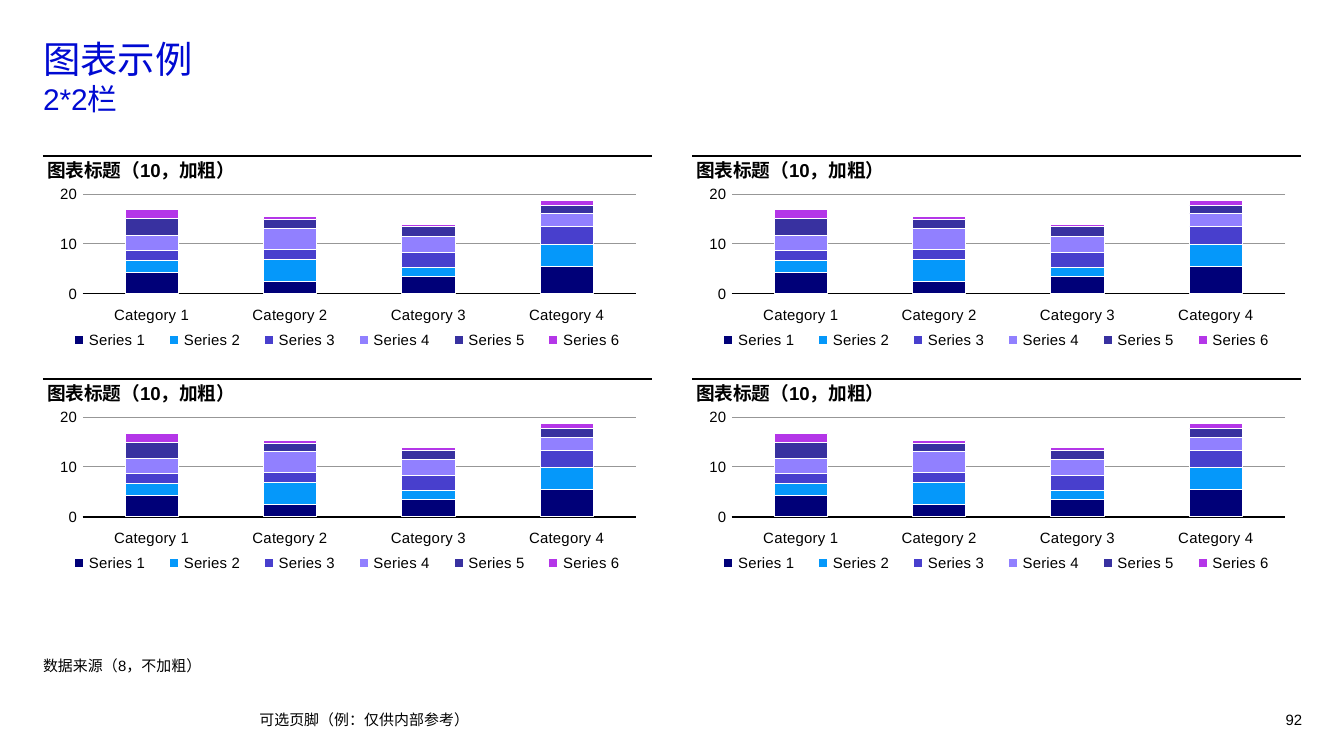
from lxml import etree
from pptx import Presentation
from pptx.chart.data import CategoryChartData
from pptx.dml.color import RGBColor
from pptx.enum.chart import (XL_CHART_TYPE, XL_LEGEND_POSITION, XL_TICK_LABEL_POSITION,
                             XL_TICK_MARK)
from pptx.enum.shapes import MSO_CONNECTOR
from pptx.enum.text import MSO_ANCHOR, MSO_AUTO_SIZE, PP_ALIGN
from pptx.oxml import parse_xml
from pptx.oxml.ns import nsdecls, qn
from pptx.util import Inches, Pt

STACKED = XL_CHART_TYPE.COLUMN_STACKED
BOTTOM_LEGEND = XL_LEGEND_POSITION.BOTTOM
LOW_LABELS = XL_TICK_LABEL_POSITION.LOW
NO_TICK = XL_TICK_MARK.NONE
STRAIGHT = MSO_CONNECTOR.STRAIGHT
TOP, MIDDLE, BOTTOM = MSO_ANCHOR.TOP, MSO_ANCHOR.MIDDLE, MSO_ANCHOR.BOTTOM
LEFT, RIGHT = PP_ALIGN.LEFT, PP_ALIGN.RIGHT
NO_FIT = MSO_AUTO_SIZE.NONE

COLORS = {"title": "000AD2", "text": "000000", "rule": "000000", "grid": "979797",
          "outline": "FFFFFF"}

# Grid in inches on a 16:9 slide: two columns by two rows of chart panels
SLIDE_WIDTH = 10
SLIDE_HEIGHT = SLIDE_WIDTH * 9 / 16
MARGIN, CONTENT_WIDTH = 0.32, 9.37
COLUMN_STEP, ROW_STEP = 4.83, 1.66
PANEL_TOP, PANEL_WIDTH, PANEL_HEIGHT = 1.16, 4.53, 1.49
FOOTER_TOP, FOOTER_HEIGHT = 5.28, 0.15

CATEGORIES = [f"Category {number}" for number in range(1, 5)]
SERIES = [  # colour, values
    ("000078", (4.3, 2.5, 3.5, 5.5)),
    ("0598FA", (2.4, 4.4, 1.8, 4.4)),
    ("483FCD", (2, 2, 3, 3.5)),
    ("9180FF", (3, 4.2, 3.2, 2.6)),
    ("3831A0", (3.3, 1.7, 1.9, 1.7)),
    ("B436E8", (1.8, 0.6, 0.5, 1)),
]
# Shares of the chart's size
PLOT_LAYOUT = {"x": 0.065, "y": 0.191, "w": 0.909, "h": 0.497}
LEGEND_LAYOUT = {"x": 0.02, "y": 0.87, "w": 0.96, "h": 0.13}


def color(name):
    return RGBColor.from_string(COLORS[name])


def set_attributes(target, values):
    for name, value in values.items():
        setattr(target, name, value)


def format_font(font, size, color_name="text", name="Arial", bold=False):
    set_attributes(font, {"size": Pt(size), "name": name, "bold": bold})
    font.color.rgb = color(color_name)


def format_line(line, color_name, width):
    line.color.rgb = color(color_name)
    line.width = Pt(width)


def place(shape, left, top, width, height):
    set_attributes(shape, {"left": Inches(left), "top": Inches(top),
                           "width": Inches(width), "height": Inches(height)})


def format_frame(frame, anchor, alignment=LEFT, spacing=1.0):
    set_attributes(frame, {"margin_left": 0, "margin_right": 0, "margin_top": 0,
                           "margin_bottom": 0, "word_wrap": True,
                           "auto_size": NO_FIT, "vertical_anchor": anchor})
    paragraph = frame.paragraphs[0]
    set_attributes(paragraph, {"alignment": alignment, "line_spacing": spacing,
                               "space_before": Pt(0)})
    return paragraph


def add_run(paragraph, text, size, **font_options):
    run = paragraph.add_run()
    run.text = text
    format_font(run.font, size, **font_options)


def add_label(slide, box, text, size, anchor=TOP, alignment=LEFT, bold=False):
    shape = slide.shapes.add_textbox(*map(Inches, box))
    add_run(format_frame(shape.text_frame, anchor, alignment), text, size, bold=bold)


def fill_title(title):
    place(title, MARGIN, 0.27, CONTENT_WIDTH, 0.72)
    paragraph = format_frame(title.text_frame, TOP)
    add_run(paragraph, "图表示例", 20, color_name="title", name="Noto Sans CJK SC")
    paragraph.add_line_break()
    add_run(paragraph, "2*2栏", 16, color_name="title")


def fill_source(body):
    place(body, MARGIN, 4.49, CONTENT_WIDTH, 0.53)
    paragraph = format_frame(body.text_frame, BOTTOM, spacing=1.1)
    properties = paragraph._p.get_or_add_pPr()
    properties.set("marL", "0")
    properties.set("indent", "0")
    etree.SubElement(properties, qn("a:buNone"))
    add_run(paragraph, "数据来源（8，不加粗）", 8)


def add_rule(slide, left, top, width):
    rule = slide.shapes.add_connector(STRAIGHT, Inches(left), Inches(top),
                                      Inches(left + width), Inches(top))
    format_line(rule.line, "rule", 0.75)
    etree.SubElement(rule._element.spPr, qn("a:effectLst"))


def set_layout(element, shares, position, target=""):
    for old_layout in element.findall(qn("c:layout")):
        element.remove(old_layout)
    sizes = "".join(f'<c:{key} val="{value}"/>' for key, value in shares.items())
    element.insert(position, parse_xml(
        f'<c:layout {nsdecls("c")}><c:manualLayout>{target}'
        f'<c:xMode val="edge"/><c:yMode val="edge"/>{sizes}</c:manualLayout></c:layout>'))


def format_axes(chart):
    category_axis, value_axis = chart.category_axis, chart.value_axis
    for axis in (category_axis, value_axis):
        set_attributes(axis, {"major_tick_mark": NO_TICK, "minor_tick_mark": NO_TICK})
        format_font(axis.tick_labels.font, 8)
    category_axis.tick_label_position = LOW_LABELS
    format_line(category_axis.format.line, "rule", 1)
    set_attributes(value_axis, {"minimum_scale": 0, "maximum_scale": 20, "major_unit": 10,
                                "has_major_gridlines": True})
    value_axis.format.line.fill.background()
    format_line(value_axis.major_gridlines.format.line, "grid", 0.5)


def add_stacked_chart(slide, left, top):
    data = CategoryChartData()
    data.categories = CATEGORIES
    for number, (_, values) in enumerate(SERIES, 1):
        data.add_series(f"Series {number}", values)
    box = map(Inches, (left, top, PANEL_WIDTH, PANEL_HEIGHT))
    chart = slide.shapes.add_chart(STACKED, *box, data).chart
    set_attributes(chart, {"has_title": False, "has_legend": True})
    format_font(chart.font, 8)
    set_attributes(chart.legend, {"position": BOTTOM_LEGEND, "include_in_layout": False})
    format_font(chart.legend.font, 8)
    format_axes(chart)
    plot = chart.plots[0]
    set_attributes(plot, {"gap_width": 160, "overlap": 100, "vary_by_categories": False})
    for series, (fill_color, _) in zip(plot.series, SERIES):
        series.format.fill.solid()
        series.format.fill.fore_color.rgb = RGBColor.from_string(fill_color)
        format_line(series.format.line, "outline", 0.5)
    set_layout(chart._chartSpace.chart.plotArea, PLOT_LAYOUT, 0,
               '<c:layoutTarget val="inner"/>')
    set_layout(chart.legend._element, LEGEND_LAYOUT, 1)


def add_panel(slide, column, row):
    left = MARGIN + column * COLUMN_STEP
    top = PANEL_TOP + row * ROW_STEP
    add_stacked_chart(slide, left, top)
    add_rule(slide, left, top, PANEL_WIDTH)
    add_label(slide, (left + 0.03, top + 0.02, 4.49, 0.2), "图表标题（10，加粗）", 10,
              bold=True)


def main():
    presentation = Presentation()
    presentation.slide_width = Inches(SLIDE_WIDTH)
    presentation.slide_height = Inches(SLIDE_HEIGHT)
    slide = presentation.slides.add_slide(presentation.slide_layouts[1])

    # Title and data source
    fill_title(slide.shapes.title)
    fill_source(slide.placeholders[1])

    # Chart panels
    for row in range(2):
        for column in range(2):
            add_panel(slide, column, row)

    # Footer and page number
    add_label(slide, (1.93, FOOTER_TOP, 6.46, FOOTER_HEIGHT), "可选页脚（例：仅供内部参考）",
              8, MIDDLE)
    add_label(slide, (9.3, FOOTER_TOP, 0.39, FOOTER_HEIGHT), "92", 8, MIDDLE, RIGHT)

    presentation.save("out.pptx")


if __name__ == "__main__":
    main()
